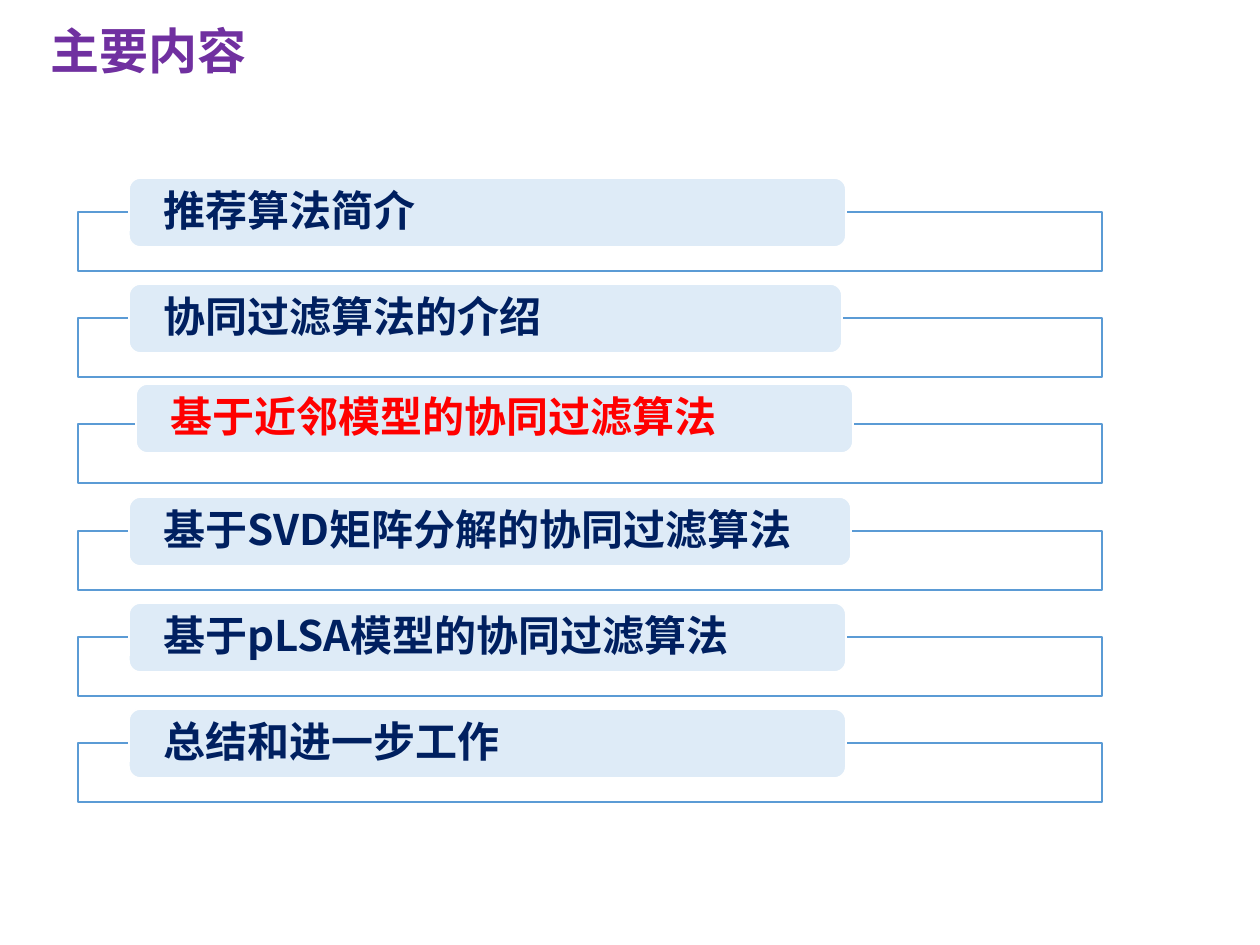
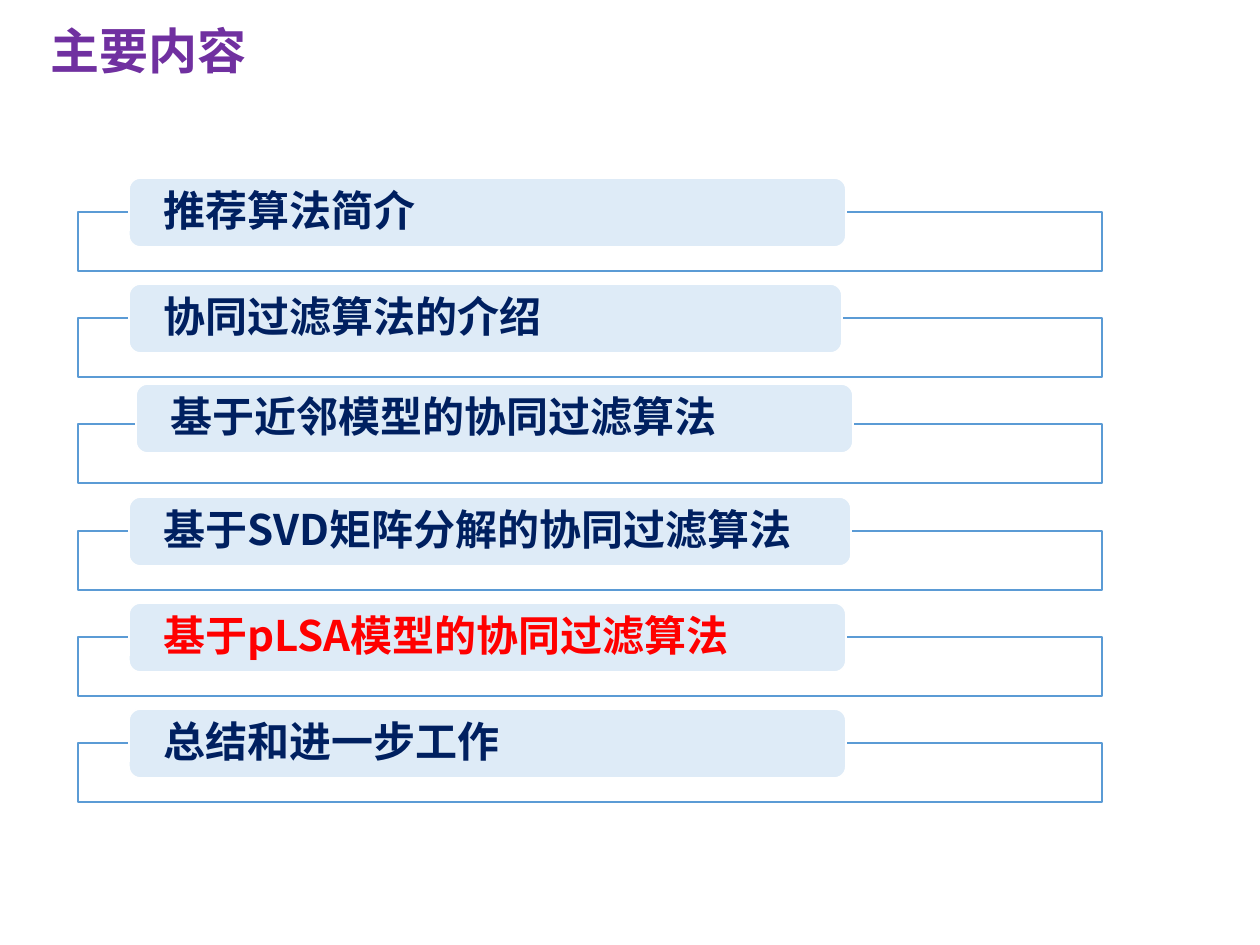
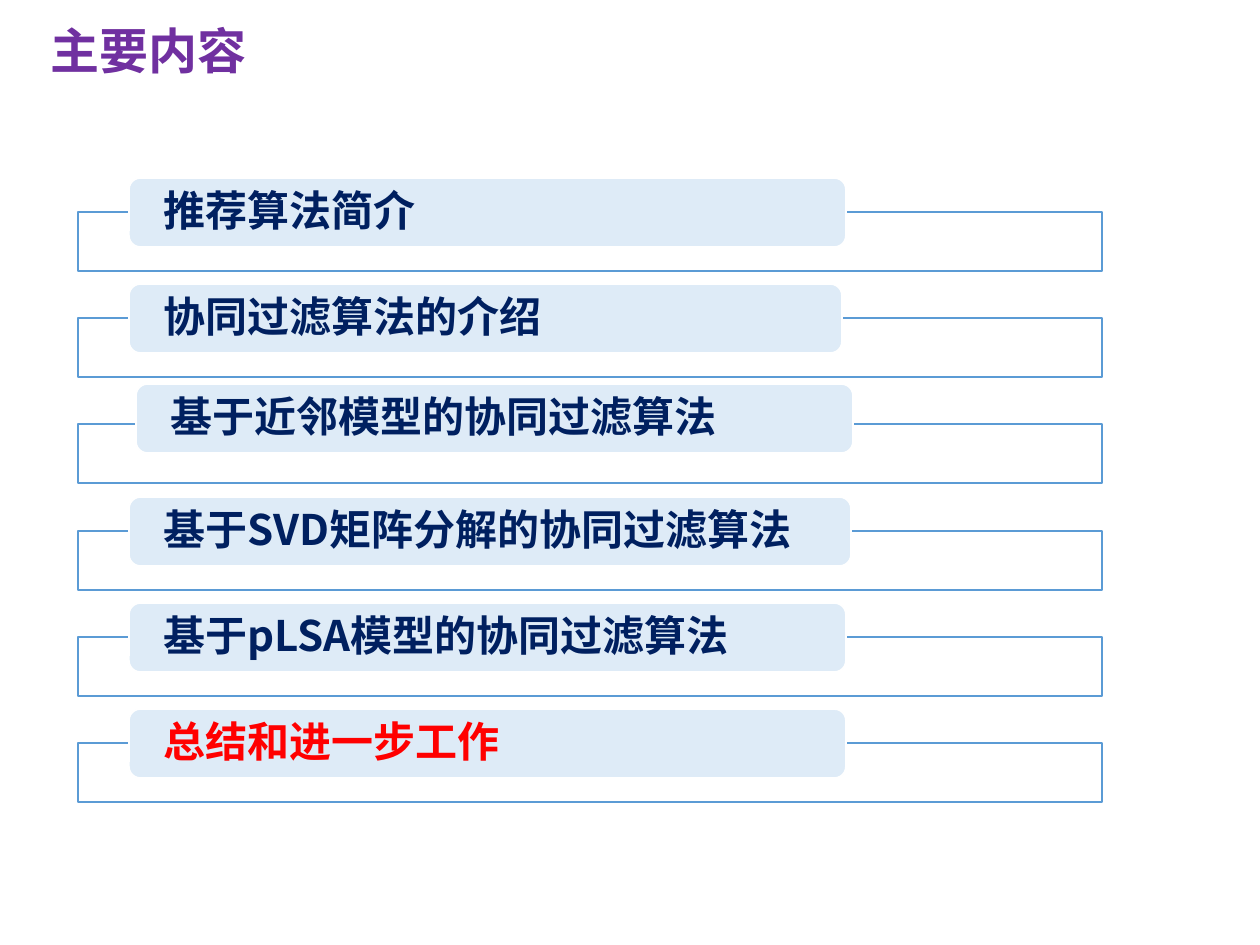
from dataclasses import dataclass

from lxml import etree
from pptx import Presentation
from pptx.dml.color import RGBColor
from pptx.enum.shapes import MSO_SHAPE
from pptx.enum.text import MSO_ANCHOR, MSO_AUTO_SIZE, PP_ALIGN
from pptx.oxml.ns import qn
from pptx.shapes.autoshape import Shape
from pptx.slide import Slide
from pptx.text.text import TextFrame
from pptx.util import Emu, Pt

RECTANGLE = MSO_SHAPE.RECTANGLE
ROUNDED = MSO_SHAPE.ROUNDED_RECTANGLE
MIDDLE = MSO_ANCHOR.MIDDLE
LEFT = PP_ALIGN.LEFT
FIXED_SIZE = MSO_AUTO_SIZE.NONE

# Shared style
EMU_PER_PX = 914400 / 126
FONT = "Noto Sans CJK SC"
PURPLE, NAVY, RED = "7030A0", "002060", "FF0000"
WHITE, PALE_BLUE, BLUE = "FFFFFF", "DEEBF7", "5B9BD5"

# Agenda geometry in px
FRAME_LEFT, FRAME_TOP, FRAME_WIDTH, FRAME_HEIGHT = 78, 212, 1024, 59
FRAMES_SPAN = 531
LABEL_LEFT, LABEL_RISE, LABEL_HEIGHT = 129, 34, 69
LABEL_INSET_X, LABEL_INSET_Y = 31, 3


@dataclass(frozen=True)
class Box:
    left: int
    top: int
    width: int
    height: int


@dataclass(frozen=True)
class Topic:
    text: str
    label_width: int = 717
    shift_x: int = 0
    shift_y: int = 0


TITLE = "主要内容"
TITLE_BOX = Box(38, 14, 561, 72)
TOPICS = (
    Topic("推荐算法简介"),
    Topic("协同过滤算法的介绍", label_width=713),
    Topic("基于近邻模型的协同过滤算法", shift_x=7, shift_y=-6),
    Topic("基于SVD矩阵分解的协同过滤算法", label_width=722),
    Topic("基于pLSA模型的协同过滤算法"),
    Topic("总结和进一步工作"),
)
# Index of the highlighted topic on each slide
CURRENT_TOPICS = (2, 4, 5)


def px(length: int) -> Emu:
    return Emu(round(length * EMU_PER_PX))


def color(value: str) -> RGBColor:
    return RGBColor.from_string(value)


def write(frame: TextFrame, text: str, size: int, text_color: str) -> None:
    """Put one bold, left-aligned run into a vertically centred frame."""
    frame.word_wrap = True
    frame.auto_size = FIXED_SIZE
    frame.vertical_anchor = MIDDLE
    paragraph = frame.paragraphs[0]
    paragraph.alignment = LEFT
    run = paragraph.add_run()
    run.text = text
    run.font.name = FONT
    run.font.size = Pt(size)
    run.font.bold = True
    run.font.color.rgb = color(text_color)
    # The East Asian font follows the Latin one
    latin = run.font._element.find(qn("a:latin"))
    east_asian = etree.Element(qn("a:ea"), typeface=FONT)
    latin.addnext(east_asian)


def add_box(slide: Slide, kind: MSO_SHAPE, box: Box, fill: str, line: str) -> Shape:
    shape = slide.shapes.add_shape(
        kind, px(box.left), px(box.top), px(box.width), px(box.height))
    shape.shadow.inherit = False
    shape.fill.solid()
    shape.fill.fore_color.rgb = color(fill)
    shape.line.color.rgb = color(line)
    shape.line.width = Pt(1)
    return shape


def set_opacity(shape: Shape, percent: int) -> None:
    fill_color = shape._element.spPr.find(qn("a:solidFill"))[0]
    etree.SubElement(fill_color, qn("a:alpha"), val=str(percent * 1000))


def add_title(slide: Slide) -> None:
    title = slide.shapes.title
    title.left, title.top = px(TITLE_BOX.left), px(TITLE_BOX.top)
    title.width, title.height = px(TITLE_BOX.width), px(TITLE_BOX.height)
    write(title.text_frame, TITLE, 28, PURPLE)


def add_topic(slide: Slide, index: int, topic: Topic, text_color: str) -> None:
    # Outlined frame behind the label
    top = FRAME_TOP + round(index * FRAMES_SPAN / (len(TOPICS) - 1))
    frame_box = Box(FRAME_LEFT, top, FRAME_WIDTH, FRAME_HEIGHT)
    set_opacity(add_box(slide, RECTANGLE, frame_box, WHITE, BLUE), 90)

    # Label with the topic text
    label_box = Box(LABEL_LEFT + topic.shift_x, top - LABEL_RISE + topic.shift_y,
                    topic.label_width, LABEL_HEIGHT)
    label = add_box(slide, ROUNDED, label_box, PALE_BLUE, WHITE)
    text_frame = label.text_frame
    text_frame.margin_left = text_frame.margin_right = px(LABEL_INSET_X)
    text_frame.margin_top = text_frame.margin_bottom = px(LABEL_INSET_Y)
    write(text_frame, topic.text, 24, text_color)
    paragraph = text_frame.paragraphs[0]
    paragraph.line_spacing = 0.9
    paragraph.space_after = Pt(8.4)


def main() -> None:
    presentation = Presentation()
    presentation.slide_width, presentation.slide_height = px(1260), px(945)
    title_only = presentation.slide_layouts.get_by_name("Title Only")
    for current in CURRENT_TOPICS:
        slide = presentation.slides.add_slide(title_only)
        add_title(slide)
        for index, topic in enumerate(TOPICS):
            add_topic(slide, index, topic, RED if index == current else NAVY)
    presentation.save("out.pptx")


if __name__ == "__main__":
    main()
